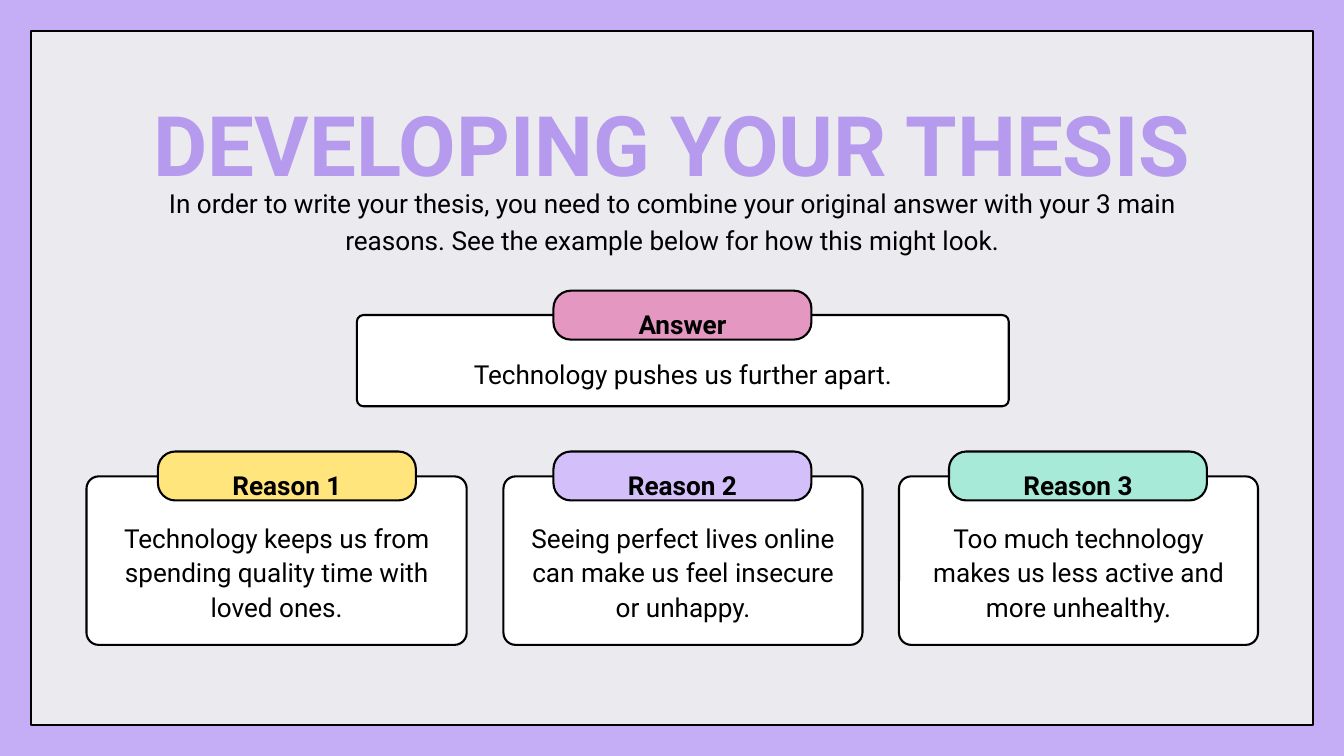
from lxml import etree
from pptx import Presentation
from pptx.dml.color import RGBColor
from pptx.enum import shapes, text
from pptx.oxml import ns
from pptx.util import Cm, Pt

BLACK, WHITE = "000000", "FFFFFF"
TAB_LEFT, TAB_WIDTH, TAB_HEIGHT, PITCH = 5.97, 9.75, 1.85, 14.95


def color(value):
    return RGBColor.from_string(value)


class Board:
    font = "Roboto"
    size = 28

    def __init__(self, deck, background):
        self.page = deck.slides.add_slide(deck.slide_layouts[1])
        fill = self.page.background.fill
        fill.solid()
        fill.fore_color.rgb = color(background)

    def panel(self, left, top, width, height, fill, radius=0):
        kind = shapes.MSO_SHAPE.ROUNDED_RECTANGLE if radius else shapes.MSO_SHAPE.RECTANGLE
        box = self.page.shapes.add_shape(kind, Cm(left), Cm(top), Cm(width), Cm(height))
        if radius:
            box.adjustments[0] = radius / min(width, height)
        box.shadow.inherit = False
        box.fill.solid()
        box.fill.fore_color.rgb = color(fill)
        box.line.color.rgb = color(BLACK)
        box.line.width = Pt(2.25)
        return box

    def frame(self, left, top, width, height, fill):
        box = self.panel(left, top, width, height, fill)
        box.element.getparent().insert(2, box.element)

    def set_text(self, box, words, left, top, width, height, spacing,
                 size=size, bold=False, ink=BLACK):
        box.left, box.top, box.width, box.height = Cm(left), Cm(top), Cm(width), Cm(height)
        frame = box.text_frame
        frame.word_wrap = True
        frame.auto_size = text.MSO_AUTO_SIZE.NONE
        frame.vertical_anchor = text.MSO_ANCHOR.TOP
        frame.margin_left = frame.margin_right = frame.margin_top = frame.margin_bottom = 0
        frame.text = words
        para = frame.paragraphs[0]
        para.alignment = text.PP_ALIGN.CENTER
        para.line_spacing = spacing
        para.space_before = Pt(0)
        para.font.name = self.font
        para.font.size = Pt(size)
        para.font.bold = bold
        para.font.color.rgb = color(ink)
        return para

    def title(self, words, *place):
        self.set_text(self.page.shapes.title, words, *place, 1.2, 89.4, True, "B59AED")

    def intro(self, words, *place):
        para = self.set_text(self.page.placeholders[1], words, *place, 1.2)
        props = para._p.get_or_add_pPr()
        props.set("marL", "0")
        props.set("indent", "0")
        bullet = etree.Element(ns.qn("a:buNone"))
        props.insert(len(props) - 1, bullet)

    def label(self, words, left, top, width, height, spacing, bold=False):
        box = self.page.shapes.add_textbox(0, 0, 0, 0)
        self.set_text(box, words, left, top, width, height, spacing, bold=bold)

    def tab(self, words, left, top, fill):
        self.panel(left, top, TAB_WIDTH, TAB_HEIGHT, fill, 0.66)
        self.label(words, left + 1.53, top + 0.21, TAB_WIDTH - 3.06, 1.3, 1.4, True)


def main():
    deck = Presentation()
    deck.slide_width, deck.slide_height = Cm(50.8), Cm(28.58)
    board = Board(deck, "C5AEF6")
    board.frame(1.17, 1.17, 48.46, 26.24, "EAEAEF")
    board.title("DEVELOPING YOUR THESIS", 4.65, 2.77, 41.5, 3.78)
    board.intro("In order to write your thesis, you need to combine your original answer "
                "with your 3 main reasons. See the example below for how this might look.",
                4.65, 6.83, 41.5, 2.64)

    board.panel(13.49, 11.91, 24.64, 3.45, WHITE, 0.25)
    board.label("Technology pushes us further apart.", 15.09, 13.31, 21.44, 1.19, 1.2)
    board.tab("Answer", TAB_LEFT + PITCH, 10.99, "E397C1")

    reasons = [
        ("Technology keeps us from spending quality time with loved ones.",
         3.27, 14.37, "FFE57C"),
        ("Seeing perfect lives online can make us feel insecure or unhappy.",
         19.03, 13.57, "D3C0FA"),
        ("Too much technology makes us less active and more unhealthy.",
         33.98, 13.57, "A7EAD7"),
    ]
    for index, (words, left, width, fill) in enumerate(reasons):
        board.panel(left, 18.01, width, 6.37, WHITE, 0.46)
        board.label(words, left + 0.93, 19.63, width - 1.86, 3.84, 1.1)
        board.tab(f"Reason {index + 1}", TAB_LEFT + index * PITCH, 17.07, fill)
    deck.save("out.pptx")


if __name__ == "__main__":
    main()
